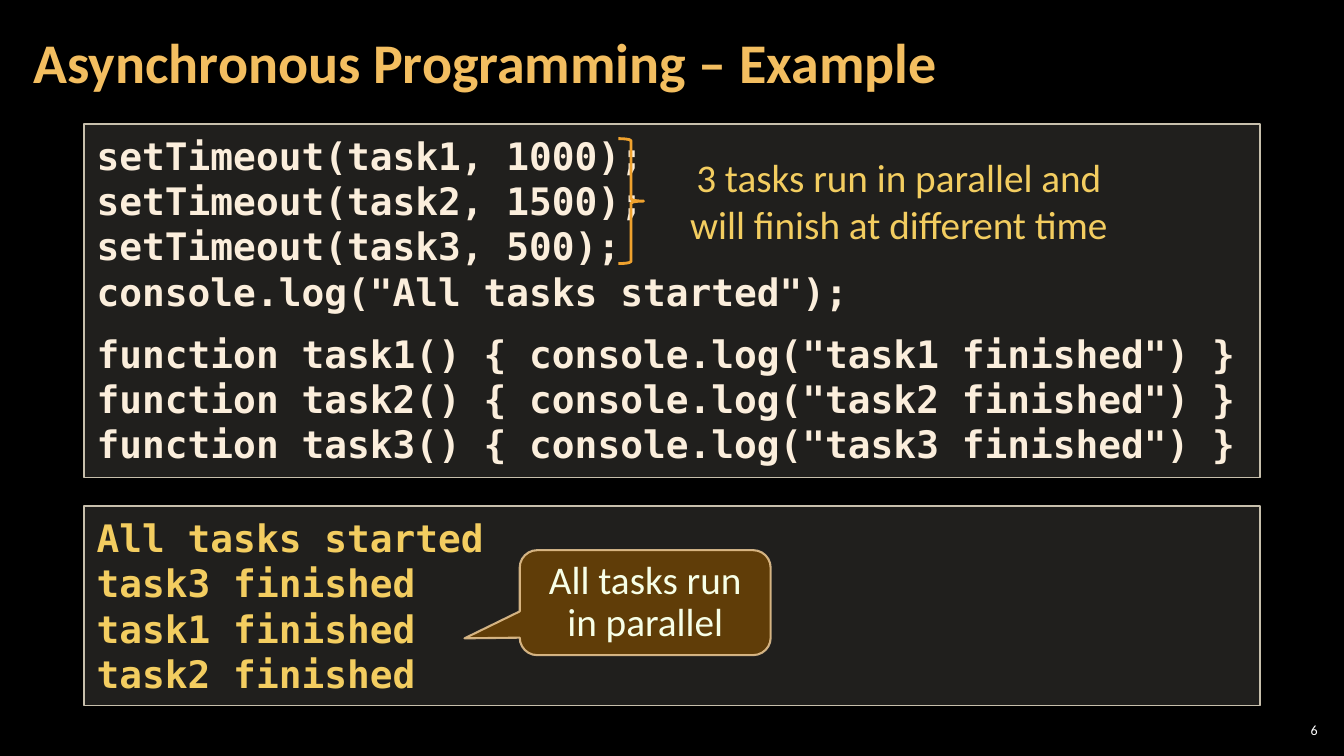
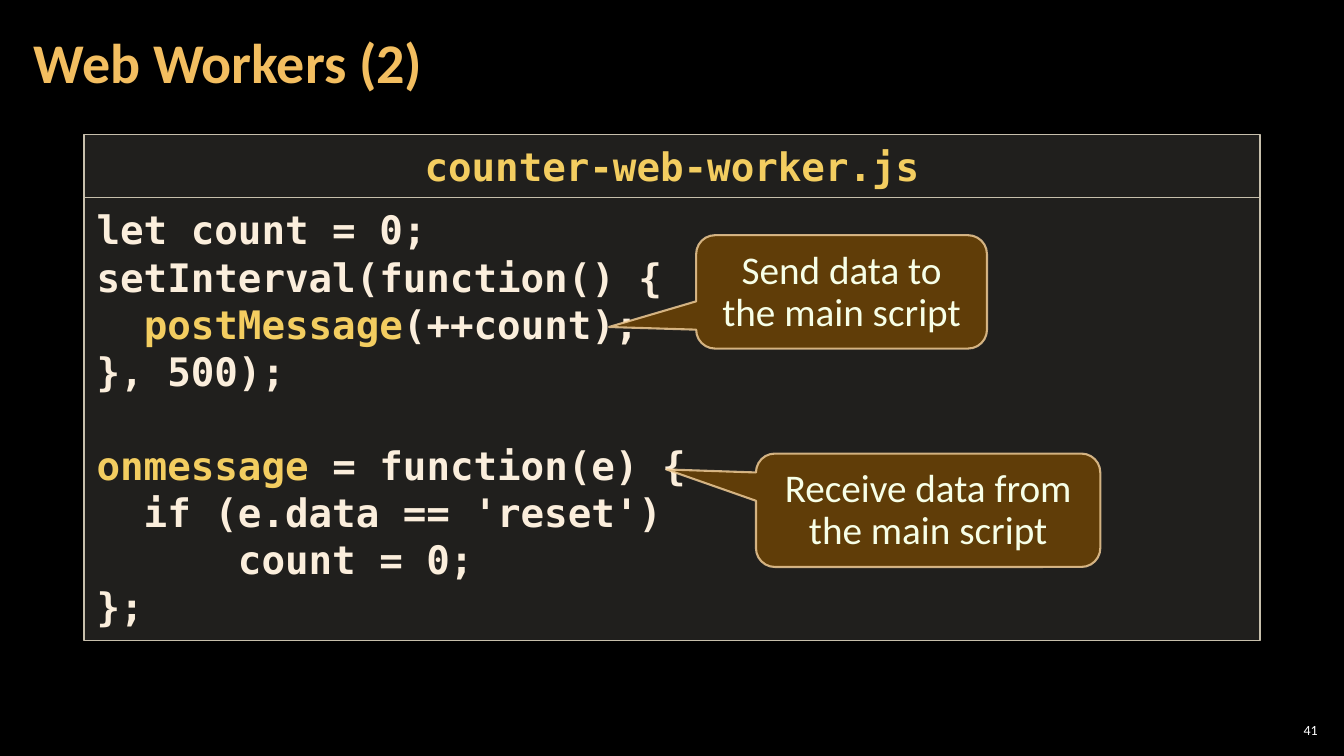
from lxml.etree import SubElement
from pptx import Presentation
from pptx.dml.color import RGBColor
from pptx.enum.shapes import MSO_SHAPE
from pptx.enum.text import MSO_ANCHOR, PP_ALIGN
from pptx.oxml.ns import qn
from pptx.util import Emu, Pt

EMU_PER_PX = 9525
WIDTH, HEIGHT = 1280, 720
BODY_FONT, CODE_FONT = "Calibri", "DejaVu Sans Mono"
COLORS = {
    "background": "000000",
    "title": "F3BE60",
    "number": "FFFFFF",
    "panel": "D9D5C7",
    "panel_line": "C7BFAC",
    "code": "FBEEDC",
    "accent": "F3CD60",
    "callout": "643F07",
    "callout_line": "F8D49E",
    "callout_text": "F7FFE7",
    "brace": "F0A22E",
}
PANEL_LEFT, PANEL_WIDTH = 80, 1120


def px(value):
    return Emu(value * EMU_PER_PX)


def rgb(name):
    return RGBColor.from_string(COLORS[name])


def paint(fill, color, opacity=100):
    fill.solid()
    fill.fore_color.rgb = rgb(color)
    if opacity < 100:
        srgb = fill._xPr.find(qn("a:solidFill")).find(qn("a:srgbClr"))
        SubElement(srgb, qn("a:alpha"), val=str(opacity * 1000))


class Deck:
    def __init__(self):
        self.presentation = Presentation()
        self.presentation.slide_width = px(WIDTH)
        self.presentation.slide_height = px(HEIGHT)
        self.slide = None

    def new_slide(self, title, number):
        self.slide = self.presentation.slides.add_slide(self.presentation.slide_layouts[6])
        paint(self.slide.background.fill, "background")
        self.label((1214, 685, 45, 20), [str(number)], 10, "number",
                   PP_ALIGN.RIGHT, MSO_ANCHOR.MIDDLE, (4, 4))
        self.label((20, 4, 1005, 116), [title], 40, "title",
                   PP_ALIGN.LEFT, MSO_ANCHOR.MIDDLE, (12, 4), bold=True, spacing=0.9)

    def set_text(self, shape, lines, size, color, align, anchor, insets=(10, 5),
                 font=BODY_FONT, bold=False, spacing=None, gaps=None):
        frame = shape.text_frame
        frame.word_wrap = True
        frame.vertical_anchor = anchor
        frame.margin_left = frame.margin_right = px(insets[0])
        frame.margin_top = frame.margin_bottom = px(insets[1])
        for index, line in enumerate(lines):
            paragraph = frame.paragraphs[0] if index == 0 else frame.add_paragraph()
            paragraph.alignment = align
            if spacing:
                paragraph.line_spacing = spacing
            if gaps and index in gaps:
                paragraph.space_before = Pt(gaps[index])
            pieces = [(line, color)] if isinstance(line, str) else line
            for text, text_color in pieces:
                run = paragraph.add_run()
                run.text = text
                run.font.name = font
                run.font.size = Pt(size)
                run.font.bold = bold
                run.font.color.rgb = rgb(text_color)

    def label(self, box, lines, size, color, align, anchor, insets=(10, 5), **style):
        text_box = self.slide.shapes.add_textbox(*map(px, box))
        self.set_text(text_box, lines, size, color, align, anchor, insets, **style)

    def outline(self, kind, box, color, width, opacity=100):
        shape = self.slide.shapes.add_shape(kind, *map(px, box))
        shape.shadow.inherit = False
        paint(shape.line.fill, color, opacity)
        shape.line.width = Pt(width)
        return shape

    def panel(self, top, height, lines, size, color="code", align=PP_ALIGN.LEFT, gaps=None):
        box = (PANEL_LEFT, top, PANEL_WIDTH, height)
        panel = self.outline(MSO_SHAPE.RECTANGLE, box, "panel_line", 1)
        paint(panel.fill, "panel", 15)
        self.set_text(panel, lines, size, color, align, MSO_ANCHOR.TOP, (12, 8),
                      font=CODE_FONT, bold=True, spacing=Pt(size * 1.2), gaps=gaps)

    def callout(self, box, text, tip):
        callout = self.outline(MSO_SHAPE.ROUNDED_RECTANGULAR_CALLOUT, box,
                               "callout_line", 1.5, 80)
        callout.adjustments[0], callout.adjustments[1] = tip
        paint(callout.fill, "callout", 95)
        self.set_text(callout, [text], 28, "callout_text", PP_ALIGN.CENTER,
                      MSO_ANCHOR.MIDDLE, spacing=Pt(30))

    def brace(self, box):
        self.outline(MSO_SHAPE.RIGHT_BRACE, box, "brace", 2).fill.background()


def asynchronous_example(deck):
    deck.new_slide("Asynchronous Programming – Example", 6)
    delays = (1000, 1500, 500)
    starts = [f"setTimeout(task{n}, {delay});" for n, delay in enumerate(delays, 1)]
    functions = [f'function task{n}() {{ console.log("task{n} finished") }}'
                 for n in range(1, len(delays) + 1)]
    code = starts + ['console.log("All tasks started");'] + functions
    deck.panel(118, 337, code, 27, gaps={len(starts) + 1: 12})
    output = ["All tasks started"] + [f"task{n} finished" for n in (3, 1, 2)]
    deck.panel(482, 190, output, 27, "accent")
    deck.callout((495, 524, 239, 100), "All tasks run in parallel", (-0.72, 0.34))
    deck.brace((589, 132, 24, 119))
    deck.label((639, 141, 434, 100),
               ["3 tasks run in parallel and", "will finish at different time"],
               28, "accent", PP_ALIGN.CENTER, MSO_ANCHOR.TOP)


def web_workers(deck):
    deck.new_slide("Web Workers (2)", 41)
    sender = [
        "let count = 0;",
        "setInterval(function() {",
        [("  ", "code"), ("postMessage", "accent"), ("(++count);", "code")],
        "}, 500);",
    ]
    receiver = [
        [("onmessage", "accent"), (" = function(e) {", "code")],
        "  if (e.data == 'reset')",
        "      count = 0;",
        "};",
    ]
    deck.panel(188, 422, sender + receiver, 28, gaps={len(sender): 33.6})
    deck.panel(128, 60, ["counter-web-worker.js"], 28, "accent", PP_ALIGN.CENTER)
    deck.callout((663, 224, 277, 108), "Send data to the main script", (-0.8, 0.31))
    deck.callout((720, 432, 328, 108), "Receive data from the main script", (-0.76, -0.36))


def main():
    deck = Deck()
    asynchronous_example(deck)
    web_workers(deck)
    deck.presentation.save("out.pptx")


if __name__ == "__main__":
    main()
